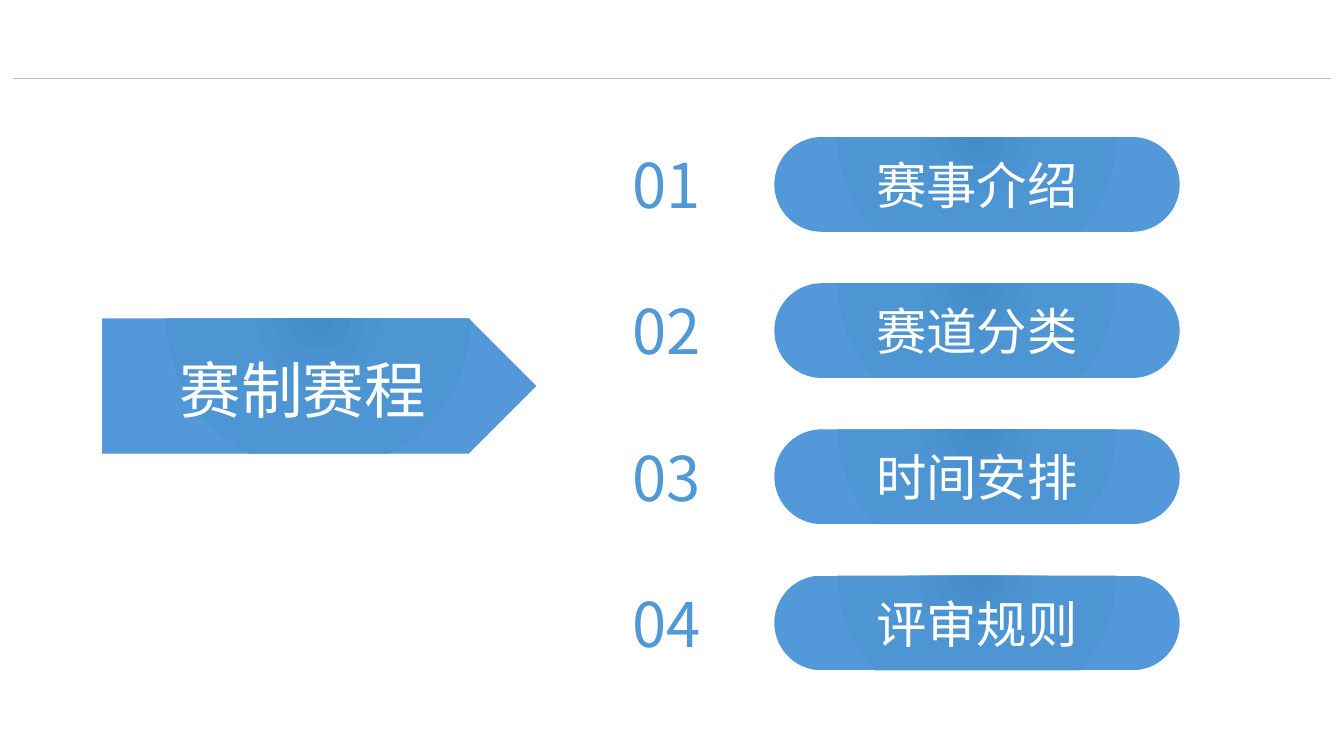
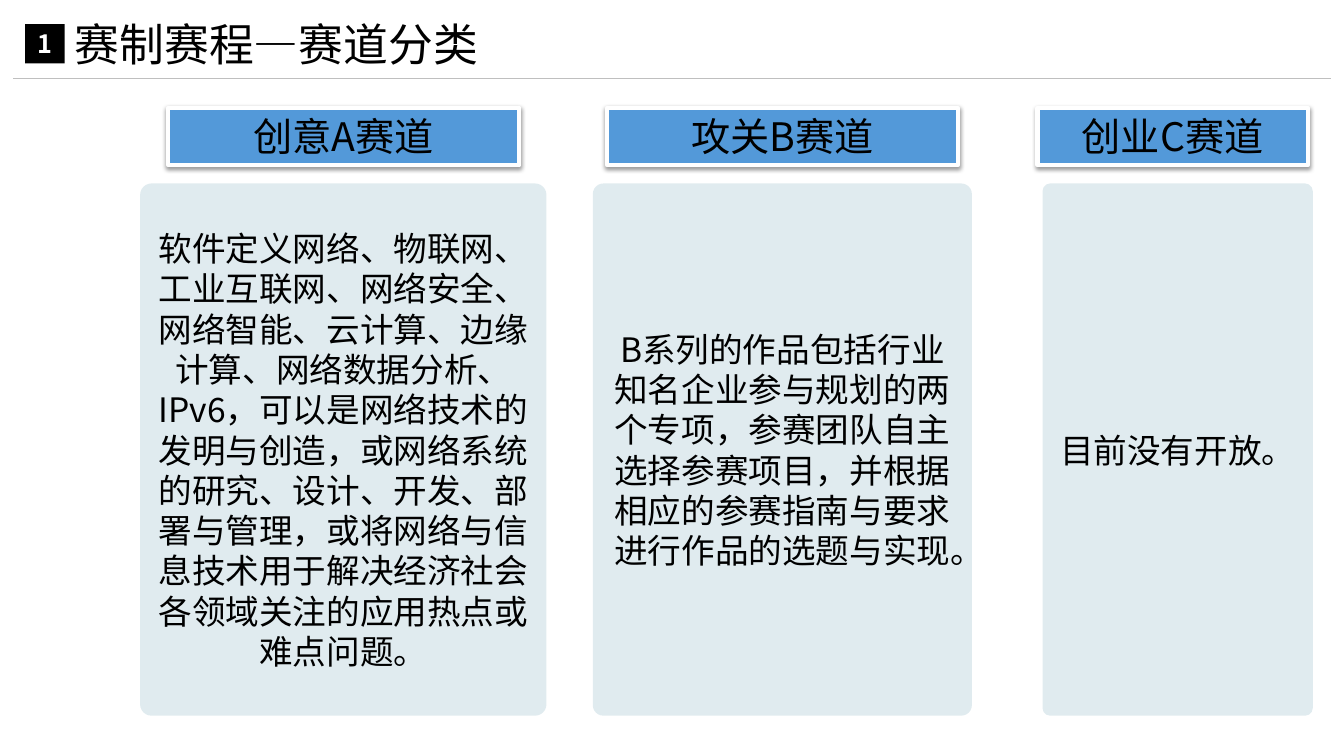
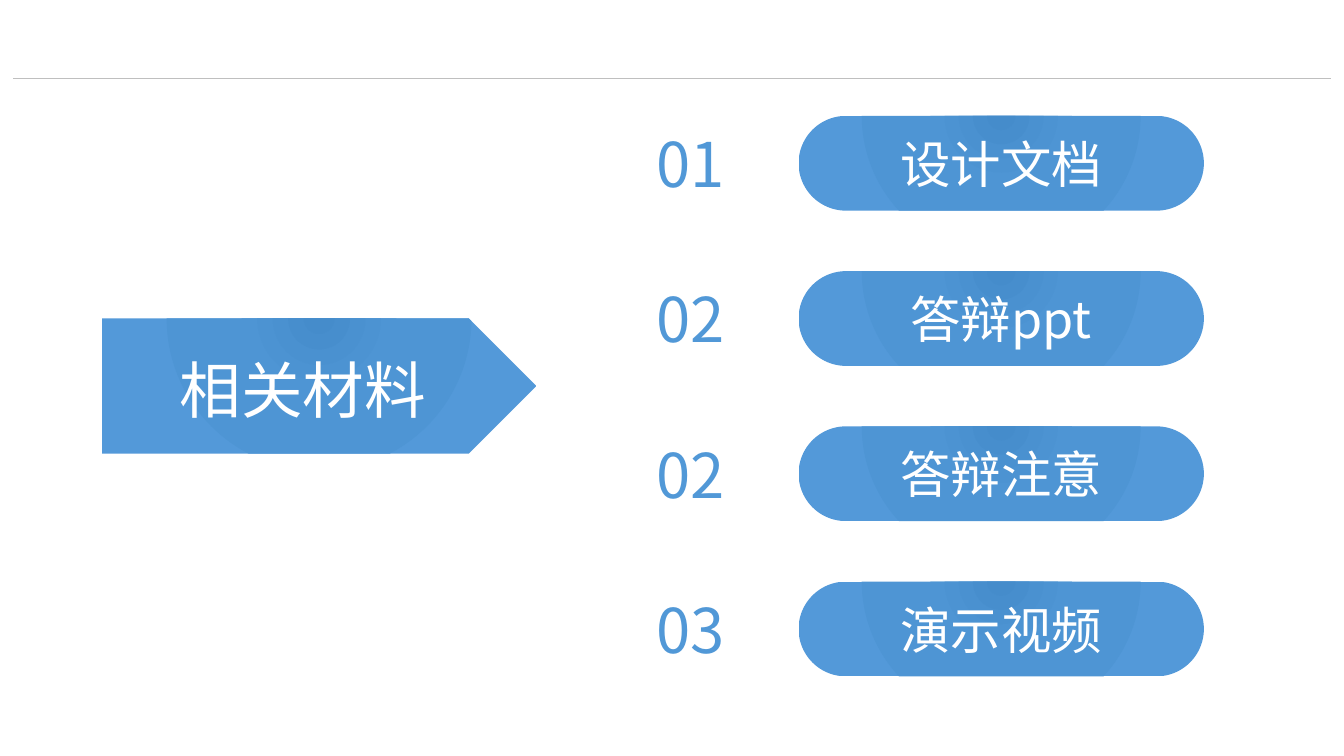
"""Build the contest deck: two section pages and one page of track cards."""
import dataclasses
import typing

import lxml.etree
import pptx
import pptx.dml.color
import pptx.enum.lang
import pptx.enum.shapes
import pptx.enum.text
import pptx.oxml
import pptx.oxml.ns
import pptx.util

Inches = pptx.util.Inches
RGBColor = pptx.dml.color.RGBColor
Shapes = pptx.enum.shapes.MSO_SHAPE
Align = pptx.enum.text.PP_ALIGN
Anchor = pptx.enum.text.MSO_ANCHOR
AutoSize = pptx.enum.text.MSO_AUTO_SIZE
qn = pptx.oxml.ns.qn

FONT = "Noto Sans CJK SC"
LINE_HEIGHT = 1.2
BLACK = RGBColor(0x00, 0x00, 0x00)
WHITE = RGBColor(0xFF, 0xFF, 0xFF)
RULE_GRAY = RGBColor(0xBF, 0xBF, 0xBF)
BLUE = RGBColor(0x53, 0x99, 0xD9)
NUMBER_BLUE = RGBColor(0x51, 0x98, 0xD7)
CARD_BLUE = RGBColor(0xC1, 0xD8, 0xE0)
GLOW_STOPS = (
    (0, RGBColor(0x45, 0x8C, 0xCB)),
    (34, RGBColor(0x4E, 0x95, 0xD4)),
    (100, BLUE),
)


class Box(typing.NamedTuple):
    left: float
    top: float
    width: float
    height: float

    def lengths(self) -> list:
        return [Inches(value) for value in self]


@dataclasses.dataclass(frozen=True)
class Entry:
    number: str
    label: str


@dataclasses.dataclass(frozen=True)
class Section:
    title: str
    left: float
    top: float
    pitch: float
    entries: tuple[Entry, ...]


@dataclasses.dataclass(frozen=True)
class Track:
    name: str
    detail: str
    header: Box
    card: Box


CONTEST = Section("赛制赛程", 7.68, 1.36, 1.45, (
    Entry("01", "赛事介绍"),
    Entry("02", "赛道分类"),
    Entry("03", "时间安排"),
    Entry("04", "评审规则"),
))
MATERIALS = Section("相关材料", 7.92, 1.15, 1.54, (
    Entry("01", "设计文档"),
    Entry("02", "答辩ppt"),
    Entry("02", "答辩注意"),
    Entry("03", "演示视频"),
))

HEADER_TOP, HEADER_HEIGHT = 1.07, 0.57
CARD_TOP, CARD_HEIGHT = 1.82, 5.28
TRACKS = (
    Track(
        "创意A赛道",
        "软件定义网络、物联网、工业互联网、网络安全、网络智能、云计算、边缘计算、"
        "网络数据分析、IPv6，可以是网络技术的发明与创造，或网络系统的研究、设计、"
        "开发、部署与管理，或将网络与信息技术用于解决经济社会各领域关注的应用热点或难点问题。",
        Box(1.67, HEADER_TOP, 3.48, HEADER_HEIGHT),
        Box(1.39, CARD_TOP, 4.03, CARD_HEIGHT),
    ),
    Track(
        "攻关B赛道",
        "B系列的作品包括行业知名企业参与规划的两个专项，参赛团队自主选择参赛项目，"
        "并根据相应的参赛指南与要求进行作品的选题与实现。",
        Box(6.02, HEADER_TOP, 3.48, HEADER_HEIGHT),
        Box(5.88, CARD_TOP, 3.76, CARD_HEIGHT),
    ),
    Track(
        "创业C赛道",
        "目前没有开放。",
        Box(10.29, HEADER_TOP, 2.68, HEADER_HEIGHT),
        Box(10.34, CARD_TOP, 2.68, CARD_HEIGHT),
    ),
)


def write_text(shape, text: str, *, size: float, color: RGBColor, bold: bool = False,
               align=Align.CENTER, anchor=Anchor.MIDDLE, wrap: bool = True,
               grow: bool = False, inset: bool = True) -> None:
    """Fill a shape with one formatted paragraph."""
    frame = shape.text_frame
    frame.word_wrap = wrap
    frame.auto_size = AutoSize.SHAPE_TO_FIT_TEXT if grow else AutoSize.NONE
    frame.vertical_anchor = anchor
    frame.margin_left = frame.margin_right = Inches(0.1 if inset else 0)
    frame.margin_top = frame.margin_bottom = Inches(0.05 if inset else 0)
    para = frame.paragraphs[0]
    para.alignment = align
    para.line_spacing = pptx.util.Pt(size * LINE_HEIGHT)
    span = para.add_run()
    span.text = text
    font = span.font
    font.size = pptx.util.Pt(size)
    font.bold = bold
    font.color.rgb = color
    font.name = FONT
    font.language_id = pptx.enum.lang.MSO_LANGUAGE_ID.SIMPLIFIED_CHINESE
    properties = span._r.get_or_add_rPr()
    east_asian = lxml.etree.SubElement(properties, qn("a:ea"))
    east_asian.set("typeface", FONT)


def add_block(page, kind, box: Box, color: RGBColor = BLUE):
    """Add a flat shape with a solid fill and no outline."""
    block = page.shapes.add_shape(kind, *box.lengths())
    block.shadow.inherit = False
    block.fill.solid()
    block.fill.fore_color.rgb = color
    block.line.fill.background()
    return block


def add_glow(block) -> None:
    """Replace a solid fill with the radial blue gradient."""
    stops = "".join(
        f'<a:gs pos="{position * 1000}"><a:srgbClr val="{color}"/></a:gs>'
        for position, color in GLOW_STOPS
    )
    gradient = pptx.oxml.parse_xml(
        f'<a:gradFill {pptx.oxml.ns.nsdecls("a")} rotWithShape="1">'
        f"<a:gsLst>{stops}</a:gsLst>"
        '<a:path path="circle">'
        '<a:fillToRect l="50000" t="-80000" r="50000" b="180000"/>'
        "</a:path></a:gradFill>"
    )
    properties = block.element.spPr
    properties.replace(properties.find(qn("a:solidFill")), gradient)


def add_drop_shadow(block) -> None:
    """Give a shape a soft shadow straight below it."""
    effects = block.element.spPr.find(qn("a:effectLst"))
    effects.append(pptx.oxml.parse_xml(
        f'<a:outerShdw {pptx.oxml.ns.nsdecls("a")} blurRad="{pptx.util.Pt(3.1)}" '
        f'dist="{pptx.util.Pt(1.6)}" dir="5400000" rotWithShape="0">'
        '<a:srgbClr val="000000"><a:alpha val="38000"/></a:srgbClr></a:outerShdw>'
    ))


def set_opacity(block, percent: int) -> None:
    """Make a solid fill partly transparent."""
    color = block.element.spPr.find(f'{qn("a:solidFill")}/{qn("a:srgbClr")}')
    lxml.etree.SubElement(color, qn("a:alpha")).set("val", str(percent * 1000))


def add_master_rule(deck, page) -> None:
    """Put the header rule on the slide master, so that every page shows it."""
    rule = page.shapes.add_connector(
        pptx.enum.shapes.MSO_CONNECTOR.STRAIGHT,
        Inches(0.13), Inches(0.78), Inches(13.2), Inches(0.78),
    )
    rule.line.color.rgb = RULE_GRAY
    rule.line.width = pptx.util.Pt(0.75)
    lxml.etree.SubElement(rule.element.spPr, qn("a:effectLst"))
    rule.element.xpath("./p:nvCxnSpPr/p:cNvPr")[0].set("id", "100")
    deck.slide_master.shapes.element.append(rule.element)


def place_title(page, text: str, box: Box, **style) -> None:
    """Move the title placeholder to the front of the page and fill it."""
    title = page.shapes.title
    title.left, title.top, title.width, title.height = box.lengths()
    title.element.getparent().append(title.element)
    write_text(title, text, anchor=Anchor.TOP, grow=True, **style)


def add_section_page(page, section: Section) -> None:
    """Draw the section arrow and its numbered list of pills."""
    add_glow(add_block(page, Shapes.PENTAGON, Box(1.01, 3.16, 4.31, 1.34)))
    place_title(page, section.title, Box(1.39, 3.44, 3.23, 0.84), size=44, color=WHITE)
    for index, entry in enumerate(section.entries):
        top = section.top + index * section.pitch
        pill = add_block(page, Shapes.ROUNDED_RECTANGLE, Box(section.left, top, 4.02, 0.94))
        pill.adjustments[0] = 0.5
        add_glow(pill)
        write_text(pill, entry.label, size=36, color=WHITE)
        number_box = Box(section.left - 1.41, top + 0.1, 0.75, 0.74)
        number = page.shapes.add_textbox(*number_box.lengths())
        write_text(number, entry.number, size=44, color=NUMBER_BLUE, align=Align.LEFT,
                   anchor=Anchor.TOP, wrap=False, grow=True, inset=False)


def add_track(page, track: Track) -> None:
    """Draw one track: a pale card below a framed header."""
    card = add_block(page, Shapes.ROUNDED_RECTANGLE, track.card, CARD_BLUE)
    card.adjustments[0] = 0.028
    set_opacity(card, 49)
    write_text(card, track.detail, size=24, color=BLACK)
    header = add_block(page, Shapes.RECTANGLE, track.header)
    header.line.color.rgb = WHITE
    header.line.width = pptx.util.Pt(3)
    add_drop_shadow(header)
    write_text(header, track.name, size=28, color=BLACK, anchor=Anchor.TOP, grow=True)


def add_tracks_page(page) -> None:
    """Draw the page heading with its badge and the three tracks."""
    place_title(page, "赛制赛程—赛道分类", Box(0.64, 0.12, 8.23, 0.64),
                size=32, color=BLACK, align=Align.LEFT)
    badge = add_block(page, Shapes.RECTANGLE, Box(0.25, 0.24, 0.39, 0.39), BLACK)
    write_text(badge, "1", size=18, color=WHITE, bold=True)
    for track in TRACKS:
        add_track(page, track)


def main() -> None:
    """Build and save the deck."""
    deck = pptx.Presentation()
    deck.slide_width, deck.slide_height = Inches(13.33), Inches(7.5)
    title_only = deck.slide_layouts[5]
    contest_page, tracks_page, materials_page = (
        deck.slides.add_slide(title_only) for _ in range(3)
    )
    add_master_rule(deck, contest_page)
    add_section_page(contest_page, CONTEST)
    add_tracks_page(tracks_page)
    add_section_page(materials_page, MATERIALS)
    deck.save("out.pptx")


if __name__ == "__main__":
    main()
